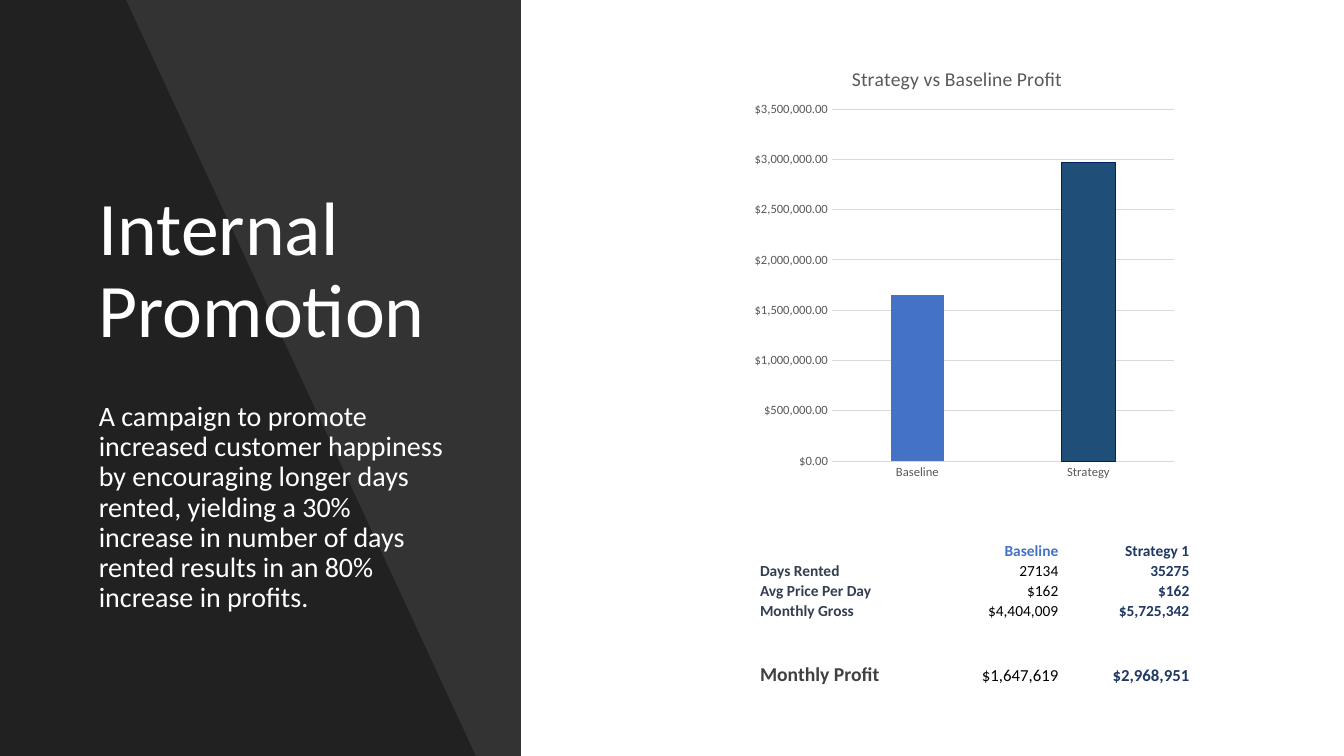
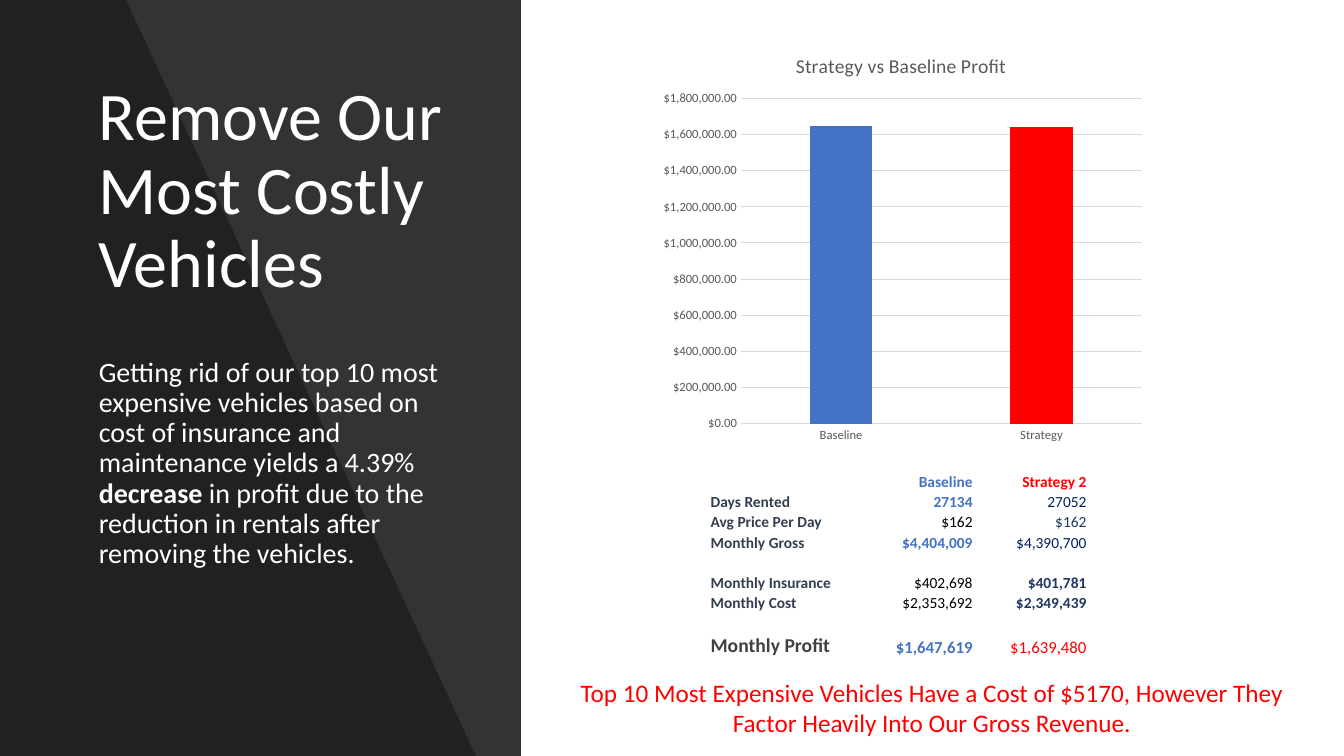
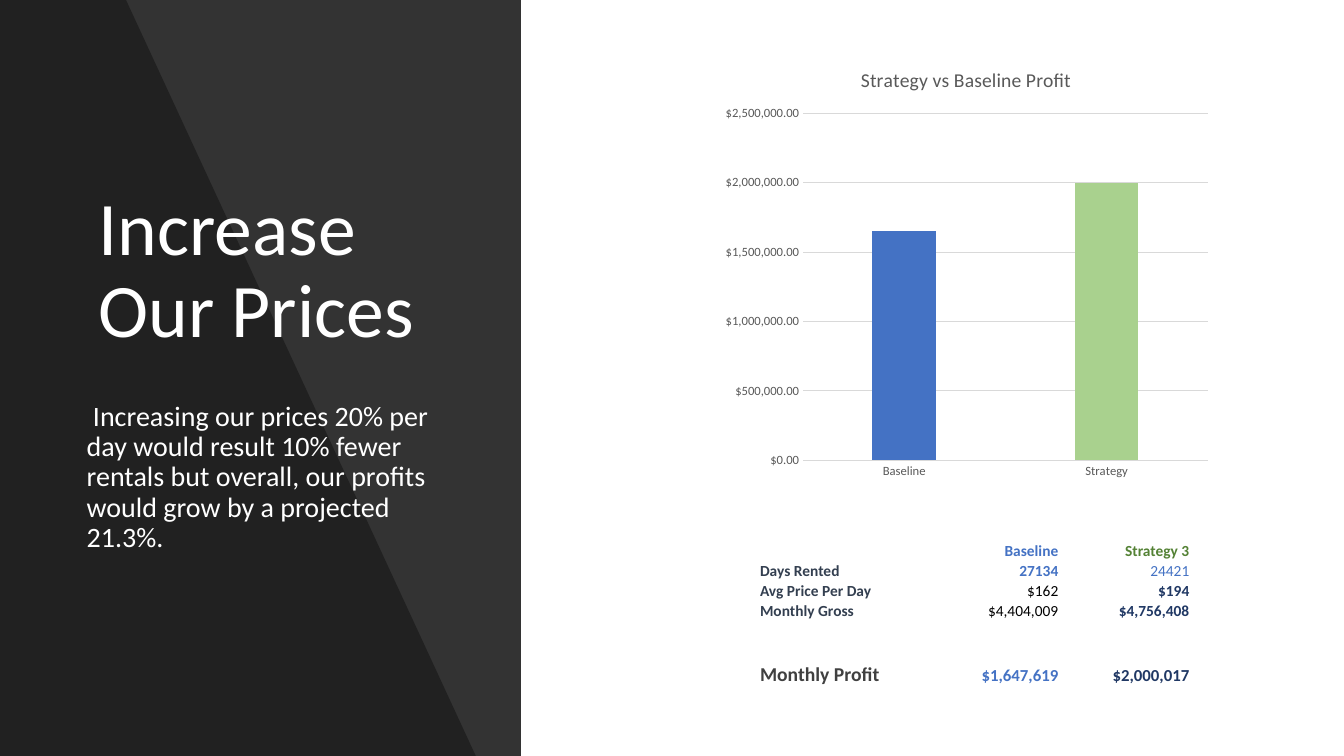
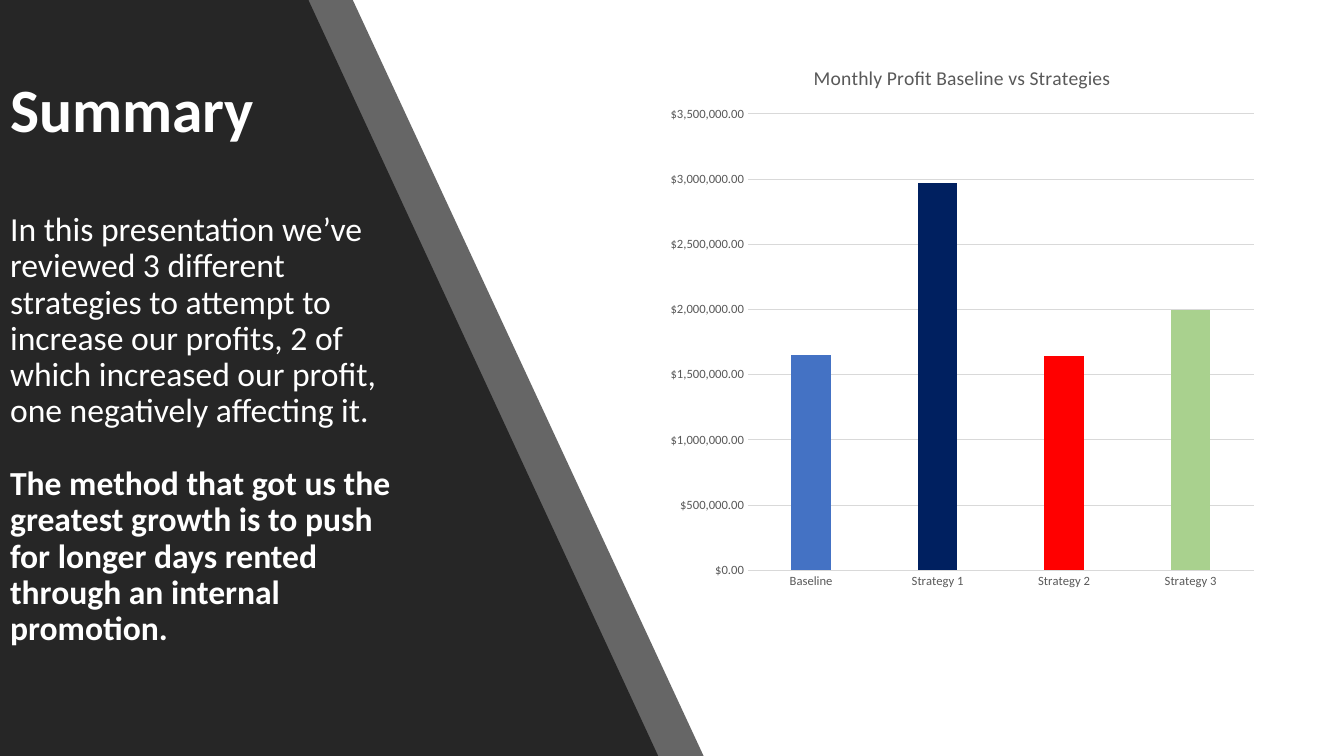
"""Build four slides that compare rental profit strategies with the baseline."""
import dataclasses
import typing

import lxml.etree
import pptx
import pptx.chart.data
import pptx.dml.color
import pptx.enum.chart
import pptx.enum.shapes
import pptx.enum.text
import pptx.oxml.ns
import pptx.util

COLORS = {
    "black": "000000",
    "white": "FFFFFF",
    "charcoal": "262626",
    "baseline": "4472C4",
    "steel": "1F4E79",
    "navy": "002060",
    "ink": "203864",
    "label": "333F50",
    "profit": "404040",
    "loss": "FF0000",
    "gain": "A9D18E",
    "gain_text": "548235",
    "axis": "595959",
    "grid": "D9D9D9",
}
FONT = "Calibri"
MONEY = '"$"#,##0.00'
MILLION = 1000000
SLIDE_WIDTH = pptx.util.Inches(13.333)
SLIDE_HEIGHT = pptx.util.Inches(7.5)
GRID_COLUMNS = 40
GRID_ROWS = 30
PANEL_COLUMNS = 15.5
HEADER_ROW, FIGURE_ROW, PROFIT_ROW = 0.88, 0.8, 1.0
ALIGN = pptx.enum.text.PP_ALIGN
ANCHOR = pptx.enum.text.MSO_ANCHOR


class Box(typing.NamedTuple):
    column: float
    row: float
    columns: float
    rows: float


class Words(typing.NamedTuple):
    text: str
    size: float
    color: str = "white"
    bold: bool = False


class Passage(typing.NamedTuple):
    words: tuple[Words, ...]
    space_before: float = 0
    line_spacing: float = 0.9
    align: ALIGN = ALIGN.LEFT


class Figure(typing.NamedTuple):
    text: str
    color: str = "ink"
    bold: bool = True


class Metric(typing.NamedTuple):
    label: str
    baseline: Figure
    strategy: Figure


class Bar(typing.NamedTuple):
    name: str
    millions: float
    color: str
    outline: str = ""


class Slant(typing.NamedTuple):
    top_columns: float
    bottom_columns: float
    color: str
    opacity: int = 100


@dataclasses.dataclass(frozen=True)
class ProfitChart:
    box: Box
    plot_box: Box
    title: str
    bars: tuple[Bar, ...]
    from_zero: bool = False
    title_shares: typing.Optional[tuple[float, float]] = None


@dataclasses.dataclass(frozen=True)
class Comparison:
    column: float
    row: float
    widths: tuple[float, ...]
    metrics: tuple[typing.Optional[Metric], ...]


@dataclasses.dataclass(frozen=True)
class Strategy:
    title: Words
    title_box: Box
    pitch: tuple[Words, ...]
    pitch_box: Box
    chart: ProfitChart
    comparison: Comparison
    warning: str = ""


def across(columns: float) -> int:
    return round(SLIDE_WIDTH * columns / GRID_COLUMNS)


def down(rows: float) -> int:
    return round(SLIDE_HEIGHT * rows / GRID_ROWS)


def place(box: Box) -> tuple[int, int, int, int]:
    return across(box.column), down(box.row), across(box.columns), down(box.rows)


def rgb(name: str) -> pptx.dml.color.RGBColor:
    return pptx.dml.color.RGBColor.from_string(COLORS[name])


def style_font(font, size: float, color: str, bold: bool = False) -> None:
    font.name = FONT
    font.size = pptx.util.Pt(size)
    font.bold = bold
    font.color.rgb = rgb(color)


def write(paragraph, words: Words) -> None:
    run = paragraph.add_run()
    run.text = words.text
    style_font(run.font, words.size, words.color, words.bold)


def fill_text(frame, passages: typing.Sequence[Passage], anchor) -> None:
    frame.word_wrap = True
    frame.auto_size = pptx.enum.text.MSO_AUTO_SIZE.NONE
    frame.vertical_anchor = anchor
    for index, passage in enumerate(passages):
        paragraph = frame.add_paragraph() if index else frame.paragraphs[0]
        paragraph.alignment = passage.align
        paragraph.line_spacing = passage.line_spacing
        paragraph.space_before = pptx.util.Pt(passage.space_before)
        for words in passage.words:
            write(paragraph, words)


def fill_placeholder(slide, index: int, box: Box,
                     passages: typing.Sequence[Passage], anchor):
    holder = slide.placeholders[index]
    slide.shapes._spTree.append(holder._element)
    holder.left, holder.top, holder.width, holder.height = place(box)
    fill_text(holder.text_frame, passages, anchor)
    return holder


def remove_bullets(frame) -> None:
    for paragraph in frame.paragraphs:
        properties = paragraph._p.get_or_add_pPr()
        properties.set("marL", "0")
        properties.set("indent", "0")
        lxml.etree.SubElement(properties, pptx.oxml.ns.qn("a:buNone"))


def paint(shape, color: str, opacity: int) -> None:
    shape.shadow.inherit = False
    shape.line.fill.background()
    shape.fill.solid()
    shape.fill.fore_color.rgb = rgb(color)
    if opacity < 100:
        tint = shape._element.spPr.find(".//" + pptx.oxml.ns.qn("a:srgbClr"))
        alpha = lxml.etree.SubElement(tint, pptx.oxml.ns.qn("a:alpha"))
        alpha.set("val", str(opacity * 1000))


def draw_slant(slide, slant: Slant) -> None:
    outline = slide.shapes.build_freeform(0, 0)
    outline.add_line_segments([
        (across(slant.top_columns), 0),
        (across(slant.bottom_columns), SLIDE_HEIGHT),
        (0, SLIDE_HEIGHT),
    ])
    paint(outline.convert_to_shape(), slant.color, slant.opacity)


def draw_panel(slide) -> None:
    panel = slide.shapes.add_shape(
        pptx.enum.shapes.MSO_SHAPE.RECTANGLE,
        *place(Box(0, 0, PANEL_COLUMNS, GRID_ROWS)))
    paint(panel, "black", 80)
    draw_slant(slide, Slant(3.75, 14.16, "black", 35))


def set_layout(parent, index: int, settings: dict[str, object]) -> None:
    for former in parent.findall(pptx.oxml.ns.qn("c:layout")):
        parent.remove(former)
    layout = parent.makeelement(pptx.oxml.ns.qn("c:layout"))
    parent.insert(index, layout)
    manual = lxml.etree.SubElement(layout, pptx.oxml.ns.qn("c:manualLayout"))
    for name, value in settings.items():
        setting = lxml.etree.SubElement(manual, pptx.oxml.ns.qn("c:" + name))
        setting.set("val", str(value))


def arrange_chart(chart, profit: ProfitChart) -> None:
    box, plot = profit.box, profit.plot_box
    edges = {"xMode": "edge", "yMode": "edge"}
    set_layout(chart._chartSpace.chart.plotArea, 0, {
        "layoutTarget": "inner", **edges,
        "x": (plot.column - box.column) / box.columns,
        "y": (plot.row - box.row) / box.rows,
        "w": plot.columns / box.columns,
        "h": plot.rows / box.rows,
    })
    if profit.title_shares:
        left, top = profit.title_shares
        set_layout(chart.chart_title._element, 1, {**edges, "x": left, "y": top})


def draw_chart(slide, profit: ProfitChart) -> None:
    data = pptx.chart.data.CategoryChartData(number_format=MONEY)
    data.categories = [bar.name for bar in profit.bars]
    data.add_series("Series 1",
                    [round(bar.millions * MILLION) for bar in profit.bars])
    chart = slide.shapes.add_chart(
        pptx.enum.chart.XL_CHART_TYPE.COLUMN_CLUSTERED,
        *place(profit.box), data).chart
    style_font(chart.font, 10, "black")
    chart.has_legend = False
    chart.has_title = True
    write(chart.chart_title.text_frame.paragraphs[0],
          Words(profit.title, 14, "axis"))
    chart.chart_title.include_in_layout = False
    arrange_chart(chart, profit)

    for axis in (chart.category_axis, chart.value_axis):
        axis.major_tick_mark = pptx.enum.chart.XL_TICK_MARK.NONE
        axis.minor_tick_mark = pptx.enum.chart.XL_TICK_MARK.NONE
        style_font(axis.tick_labels.font, 9, "axis")
    values = chart.value_axis
    if profit.from_zero:
        values.minimum_scale = 0
    values.tick_labels.number_format = MONEY
    values.tick_labels.number_format_is_linked = False
    values.format.line.fill.background()
    for line in (chart.category_axis.format.line,
                 values.major_gridlines.format.line):
        line.color.rgb = rgb("grid")
        line.width = pptx.util.Pt(0.75)

    plot = chart.plots[0]
    plot.gap_width = 219
    plot.overlap = -27
    plot.vary_by_categories = False
    series = plot.series[0]
    series.invert_if_negative = False
    series.format.fill.solid()
    series.format.fill.fore_color.rgb = rgb("baseline")
    for index, bar in enumerate(profit.bars):
        column = series.points[index].format
        column.fill.solid()
        column.fill.fore_color.rgb = rgb(bar.color)
        if bar.outline:
            column.line.color.rgb = rgb(bar.outline)
            column.line.width = pptx.util.Pt(0.75)


def fill_cell(cell, words: typing.Optional[Words], align) -> None:
    cell.fill.background()
    cell.vertical_anchor = ANCHOR.BOTTOM
    cell.margin_left = cell.margin_right = cell.margin_top = pptx.util.Inches(0.01)
    cell.margin_bottom = 0
    paragraph = cell.text_frame.paragraphs[0]
    paragraph.alignment = align
    if words:
        write(paragraph, words)
    else:
        ending = lxml.etree.SubElement(
            paragraph._p, pptx.oxml.ns.qn("a:endParaRPr"))
        ending.set("sz", "1100")


def metric_words(metric: typing.Optional[Metric],
                 is_profit: bool) -> list[typing.Optional[Words]]:
    if metric is None:
        return [None, None, None]
    label_size, figure_size, label_color = (
        (14, 12, "profit") if is_profit else (11, 11, "label"))
    label = (Words(metric.label, label_size, label_color, True)
             if metric.label else None)
    return [label] + [Words(figure.text, figure_size, figure.color, figure.bold)
                      for figure in (metric.baseline, metric.strategy)]


def draw_comparison(slide, comparison: Comparison) -> None:
    metrics = comparison.metrics
    last = len(metrics) - 1
    heights = [HEADER_ROW] + [FIGURE_ROW] * (last - 1) + [PROFIT_ROW]
    box = Box(comparison.column, comparison.row,
              sum(comparison.widths), sum(heights))
    table = slide.shapes.add_table(
        len(metrics), len(comparison.widths), *place(box)).table
    table.first_row = False
    table.horz_banding = False
    for column, width in zip(table.columns, comparison.widths):
        column.width = across(width)
    for index, (metric, height) in enumerate(zip(metrics, heights)):
        table.rows[index].height = down(height)
        for position, words in enumerate(metric_words(metric, index == last)):
            fill_cell(table.cell(index, position), words,
                      ALIGN.RIGHT if position else ALIGN.LEFT)


def add_strategy(deck, strategy: Strategy) -> None:
    slide = deck.slides.add_slide(deck.slide_layouts[1])
    draw_panel(slide)
    fill_placeholder(slide, 0, strategy.title_box,
                     [Passage((strategy.title,))], ANCHOR.BOTTOM)
    pitch = fill_placeholder(slide, 1, strategy.pitch_box,
                             [Passage(strategy.pitch, 10)], ANCHOR.TOP)
    remove_bullets(pitch.text_frame)
    draw_comparison(slide, strategy.comparison)
    if strategy.warning:
        note = slide.shapes.add_textbox(*place(Box(16.32, 26.68, 22.83, 4.04)))
        warning = Passage((Words(strategy.warning, 18, "loss"),),
                          line_spacing=1.0, align=ALIGN.CENTER)
        fill_text(note.text_frame, [warning], ANCHOR.TOP)
    draw_chart(slide, strategy.chart)


def add_summary(deck, passages: typing.Sequence[Passage],
                chart: ProfitChart) -> None:
    slide = deck.slides.add_slide(deck.slide_layouts[5])
    draw_slant(slide, Slant(10.5, 20.94, "charcoal", 70))
    draw_slant(slide, Slant(9.18, 19.59, "charcoal"))
    summary = fill_placeholder(slide, 0, Box(0, 0.68, 12.21, 30.4),
                               passages, ANCHOR.MIDDLE)
    summary.text_frame.margin_bottom = pptx.util.Inches(0.78)
    draw_chart(slide, chart)


BASELINE_HEAD = Figure("Baseline", "baseline")
BASELINE_DAYS = Figure("27134", "baseline")
BASELINE_PRICE = Figure("$162", "black", False)
BASELINE_GROSS = Figure("$4,404,009", "black", False)
BASELINE_PROFIT = Figure("$1,647,619", "baseline")
BASELINE_BAR = Bar("Baseline", 1.65, "baseline")
VERSUS = "Strategy vs Baseline Profit"
TITLE_BOX = Box(2.64, 3.8, 10.86, 10.44)
WIDE_TABLE = (5.04, 3.9, 3.9)

STRATEGIES = (
    Strategy(
        Words("Internal Promotion", 54),
        TITLE_BOX,
        (Words("A campaign to promote increased customer happiness by "
               "encouraging longer days rented, yielding a 30% increase in "
               "number of days rented results in an 80% increase in profits.",
               20),),
        Box(2.64, 15.76, 10.86, 10.44),
        ProfitChart(Box(22.11, 1.76, 13.08, 17.64),
                    Box(24.76, 4.33, 10.18, 13.97), VERSUS,
                    (BASELINE_BAR, Bar("Strategy", 2.97, "steel", "navy")),
                    title_shares=(0.24, 0.04)),
        Comparison(22.59, 21.36, WIDE_TABLE, (
            Metric("", BASELINE_HEAD, Figure("Strategy 1")),
            Metric("Days Rented", Figure("27134", "black", False),
                   Figure("35275")),
            Metric("Avg Price Per Day", BASELINE_PRICE, Figure("$162")),
            Metric("Monthly Gross", BASELINE_GROSS, Figure("$5,725,342")),
            None,
            None,
            Metric("Monthly Profit", Figure("$1,647,619", "black", False),
                   Figure("$2,968,951")),
        )),
    ),
    Strategy(
        Words("Remove Our Most Costly Vehicles", 48.6),
        Box(2.64, 1.76, 10.86, 10.44),
        (Words("Getting rid of our top 10 most expensive vehicles based on "
               "cost of insurance and maintenance yields a 4.39% ", 20),
         Words("decrease", 20, bold=True),
         Words(" in profit due to the reduction in rentals after removing "
               "the vehicles.", 20)),
        Box(2.64, 14, 10.86, 9),
        ProfitChart(Box(19.35, 1.4, 14.94, 16.48),
                    Box(22.05, 3.91, 11.93, 12.9), VERSUS,
                    (BASELINE_BAR, Bar("Strategy", 1.64, "loss")), True),
        Comparison(21.12, 18.64, (4.71, 3.15, 3.39), (
            Metric("", BASELINE_HEAD, Figure("Strategy 2", "loss")),
            Metric("Days Rented", BASELINE_DAYS,
                   Figure("27052", "navy", False)),
            Metric("Avg Price Per Day", BASELINE_PRICE,
                   Figure("$162", "ink", False)),
            Metric("Monthly Gross", Figure("$4,404,009", "baseline"),
                   Figure("$4,390,700", "navy", False)),
            None,
            Metric("Monthly Insurance", Figure("$402,698", "black", False),
                   Figure("$401,781")),
            Metric("Monthly Cost", Figure("$2,353,692", "black", False),
                   Figure("$2,349,439")),
            None,
            Metric("Monthly Profit", BASELINE_PROFIT,
                   Figure("$1,639,480", "loss", False)),
        )),
        "Top 10 Most Expensive Vehicles Have a Cost of $5170, However They "
        "Factor Heavily Into Our Gross Revenue.",
    ),
    Strategy(
        Words("Increase Our Prices", 54),
        TITLE_BOX,
        (Words(" Increasing our prices 20% per day would result 10% fewer "
               "rentals but overall, our profits would grow by a projected "
               "21.3%.", 20),),
        Box(2.28, 15.76, 11.22, 7.24),
        ProfitChart(Box(21.24, 1.92, 15.03, 17.44),
                    Box(23.9, 4.5, 12.05, 13.77), VERSUS,
                    (BASELINE_BAR, Bar("Strategy", 2, "gain")), True),
        Comparison(22.59, 21.36, WIDE_TABLE, (
            Metric("", BASELINE_HEAD, Figure("Strategy 3", "gain_text")),
            Metric("Days Rented", BASELINE_DAYS,
                   Figure("24421", "baseline", False)),
            Metric("Avg Price Per Day", BASELINE_PRICE, Figure("$194")),
            Metric("Monthly Gross", BASELINE_GROSS, Figure("$4,756,408")),
            None,
            None,
            Metric("Monthly Profit", BASELINE_PROFIT, Figure("$2,000,017")),
        )),
    ),
)

SUMMARY = (
    Passage((Words("Summary", 44, bold=True),)),
    Passage((Words("In this presentation we’ve reviewed 3 different strategies "
                   "to attempt to increase our profits, 2 of which increased "
                   "our profit, one negatively affecting it.", 24),), 48),
    Passage((Words("The method that got us the greatest growth is to push for "
                   "longer days rented through an internal promotion.",
                   24, bold=True),), 26),
)
SUMMARY_CHART = ProfitChart(
    Box(19.59, 1.76, 18.09, 22.04), Box(22.26, 4.52, 15.06, 18.12),
    "Monthly Profit Baseline vs Strategies",
    (BASELINE_BAR, Bar("Strategy 1", 2.97, "navy"),
     Bar("Strategy 2", 1.64, "loss"), Bar("Strategy 3", 2, "gain")))


def main() -> None:
    deck = pptx.Presentation()
    deck.slide_width = SLIDE_WIDTH
    deck.slide_height = SLIDE_HEIGHT
    for strategy in STRATEGIES:
        add_strategy(deck, strategy)
    add_summary(deck, SUMMARY, SUMMARY_CHART)
    deck.save("out.pptx")


if __name__ == "__main__":
    main()
